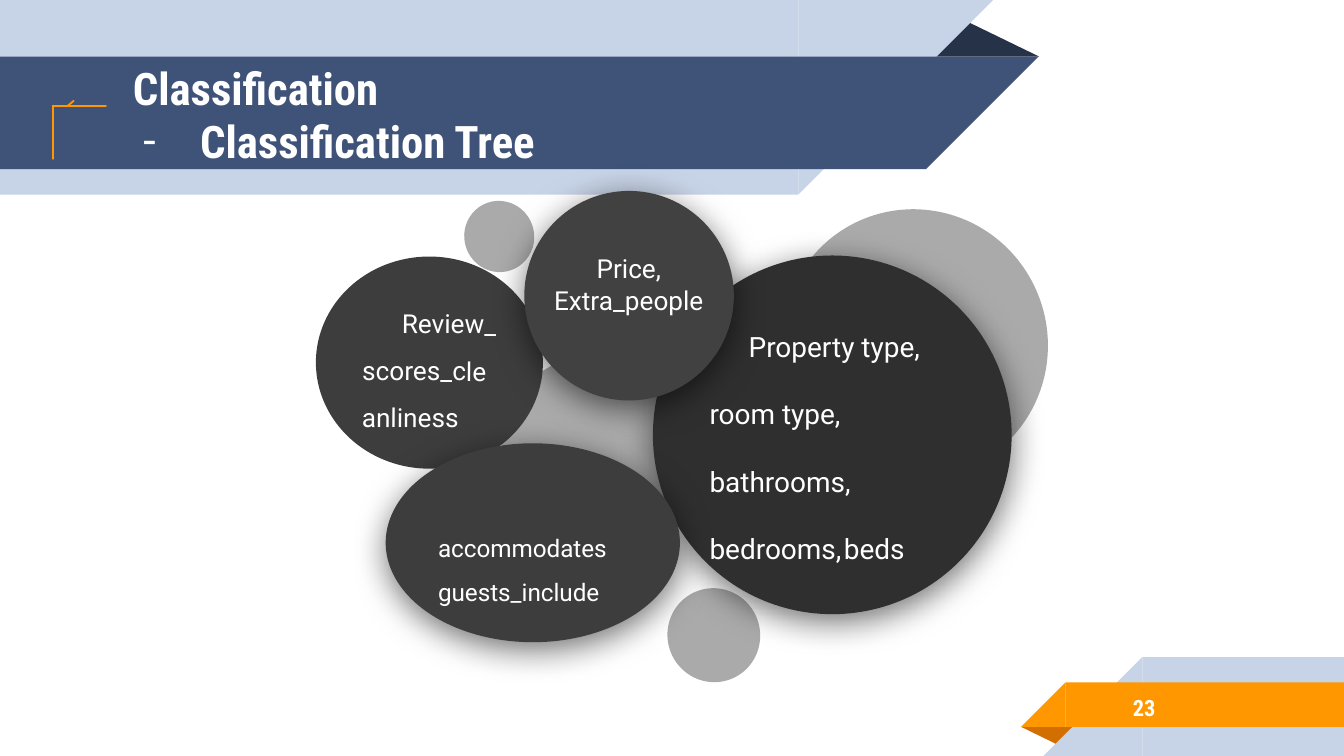
from lxml import etree
from pptx import Presentation
from pptx.dml.color import RGBColor
from pptx.enum.shapes import MSO_CONNECTOR, MSO_SHAPE
from pptx.enum.text import MSO_ANCHOR, MSO_AUTO_SIZE, PP_ALIGN
from pptx.oxml.ns import qn
from pptx.util import Cm, Pt

RECTANGLE, ELLIPSE = MSO_SHAPE.RECTANGLE, MSO_SHAPE.OVAL
TRIANGLE, CORNER = MSO_SHAPE.ISOSCELES_TRIANGLE, MSO_SHAPE.RIGHT_TRIANGLE
LEFT, CENTER = PP_ALIGN.LEFT, PP_ALIGN.CENTER
TOP, MIDDLE = MSO_ANCHOR.TOP, MSO_ANCHOR.MIDDLE

WHITE, ORANGE, RUST = "FFFFFF", "FF9800", "D26F00"
PALE, BLUE, NAVY = "C7D3E6", "3F5378", "263248"
GRAY, CHARCOAL = "AAAAAA", "3D3D3D"
BODY_FONT, HEAD_FONT = "Roboto", "Roboto Condensed"
FIRST_INDENT = 0.74


def rgb(value):
    return RGBColor.from_string(value)


def add_xml(parent, tag, **attributes):
    return etree.SubElement(parent, qn(tag), {k: str(v) for k, v in attributes.items()})


def write(shape, text, size=14, font=BODY_FONT, bold=False, align=LEFT, anchor=MIDDLE,
          spacing=1.0, indent=0, tab=None):
    """Fill a shape with one paragraph per line of text."""
    frame = shape.text_frame
    frame.word_wrap = True
    frame.auto_size = MSO_AUTO_SIZE.NONE
    frame.vertical_anchor = anchor
    frame.margin_left = frame.margin_right = Cm(0.25)
    frame.margin_top = frame.margin_bottom = Cm(0.25)
    for number, line in enumerate(text.split("\n")):
        para = frame.paragraphs[0] if number == 0 else frame.add_paragraph()
        para.alignment = align
        para.line_spacing = spacing
        para.space_before = Pt(0)
        properties = para._p.get_or_add_pPr()
        properties.set("marL", "0")
        properties.set("indent", str(Cm(indent)))
        if tab:
            add_xml(add_xml(properties, "a:tabLst"), "a:tab", pos=Cm(tab), algn="l")
        span = para.add_run()
        span.text = line
        span.font.name = font
        span.font.size = Pt(size)
        span.font.bold = bold
        span.font.color.rgb = rgb(WHITE)


def add_dash(para):
    properties = para._p.get_or_add_pPr()
    properties.set("marL", str(Cm(1.27)))
    properties.set("indent", str(Cm(-1.07)))
    add_xml(add_xml(properties, "a:buClr"), "a:srgbClr", val=WHITE)
    add_xml(properties, "a:buFont", typeface=BODY_FONT)
    add_xml(properties, "a:buChar", char="-")


def add_glow(shape):
    """Give a shape a soft shadow just below it."""
    effects = shape._element.spPr.find(qn("a:effectLst"))
    shadow = add_xml(effects, "a:outerShdw", blurRad=Pt(18), dist=Pt(4),
                     dir=90 * 60000, algn="bl", rotWithShape=0)
    color = add_xml(shadow, "a:srgbClr", val="000000")
    add_xml(color, "a:alpha", val=55000)


class Painter:
    """Holds the current slide and the look of its elements."""

    def __init__(self, slide):
        self.slide = slide
        self.shapes = slide.shapes

    def shape(self, kind, color, left, top, width, height, rotation=0, flip=None):
        shape = self.shapes.add_shape(kind, Cm(left), Cm(top), Cm(width), Cm(height))
        shape.shadow.inherit = False
        shape.fill.solid()
        shape.fill.fore_color.rgb = rgb(color)
        shape.line.fill.background()
        shape.rotation = rotation
        if flip:
            shape._element.spPr.xfrm.set(flip, "1")
        return shape

    def fold(self, color, left, top, width, height, rotation=0):
        self.shape(TRIANGLE, color, left, top, width, height, rotation).adjustments[0] = 0.324

    def band(self, color, left, top, width, height, slant_left=False):
        """Draw a bar that ends in a 45 degree slant."""
        self.shape(RECTANGLE, color, left, top, width, height)
        start, flip = (left - height, "flipH") if slant_left else (left + width, "flipV")
        self.shape(CORNER, color, start, top, height, height, flip=flip)

    def text(self, text, left, top, width, height, **style):
        box = self.shapes.add_textbox(Cm(left), Cm(top), Cm(width), Cm(height))
        write(box, text, **style)

    def title(self, text, left, top, width, height, **style):
        title = self.shapes.title
        title.left, title.top, title.width, title.height = map(Cm, (left, top, width, height))
        write(title, text, **style)
        title.element.getparent().append(title.element)
        return title

    def stroke(self, shape):
        shape.line.color.rgb = rgb(ORANGE)
        shape.line.width = Pt(0.96)

    def outline(self, points, close):
        builder = self.shapes.build_freeform(*points[0], scale=Cm(1))
        builder.add_line_segments(points[1:], close=close)
        shape = builder.convert_to_shape()
        shape.shadow.inherit = False
        shape.fill.background()
        self.stroke(shape)

    def line(self, x1, y1, x2, y2):
        line = self.shapes.add_connector(MSO_CONNECTOR.STRAIGHT, Cm(x1), Cm(y1), Cm(x2), Cm(y2))
        add_xml(line._element.spPr, "a:effectLst")
        self.stroke(line)

    def bubble(self, color, left, top, width, height):
        add_glow(self.shape(ELLIPSE, color, left, top, width, height))


def draw_pin(painter):
    needle = [(1.14, 2.24), (0.81, 2.62), (0.79, 2.67), (0.84, 2.64), (1.22, 2.31)]
    head = [(1.42, 1.8), (1.65, 2.03), (1.7, 2.06), (1.75, 2.06), (1.8, 2.01),
            (1.8, 1.98), (1.47, 1.65), (1.42, 1.65), (1.4, 1.7), (1.4, 1.75)]
    body = [(1.42, 1.8), (1.22, 1.98), (1.14, 1.96), (1.04, 1.96), (0.97, 2.01),
            (0.94, 2.03), (0.97, 2.06), (1.4, 2.49), (1.42, 2.51), (1.45, 2.49),
            (1.5, 2.41), (1.5, 2.31), (1.47, 2.24), (1.65, 2.03)]
    painter.outline(needle, close=True)
    painter.outline(head, close=True)
    painter.outline(body, close=False)
    painter.line(1.27, 2.01, 1.4, 1.9)


def main():
    deck = Presentation()
    deck.slide_width, deck.slide_height = Cm(25.4), Cm(14.29)
    page = Painter(deck.slides.add_slide(deck.slide_layouts[5]))

    page.fold(NAVY, 17.48, 0.36, 2.16, 0.71)
    page.band(PALE, 0, 0, 15.09, 3.68)
    page.band(BLUE, 0, 1.07, 17.5, 2.13)
    page.fold(RUST, 19.3, 13.74, 1.09, 0.36, rotation=180)
    page.band(PALE, 21.59, 12.42, 3.81, 1.87, slant_left=True)
    page.band(ORANGE, 20.14, 12.9, 5.26, 0.84, slant_left=True)
    draw_pin(page)

    title = page.title("Classification\nClassification Tree", 2.26, 1.09, 16.56, 2.13,
                       size=24, font=HEAD_FONT, bold=True)
    add_dash(title.text_frame.paragraphs[1])

    for place in ((12.6, 11.13, 1.78, 1.75), (8.76, 3.81, 1.35, 1.32),
                  (9.45, 6.73, 3.63, 3.58), (14.73, 3.99, 5.11, 5.03)):
        page.shape(ELLIPSE, GRAY, *place, rotation=250)

    review = page.shape(ELLIPSE, CHARCOAL, 5.97, 4.85, 4.29, 4.01, rotation=0.5)
    write(review, "Review_scores_cleanliness", spacing=1.5, indent=FIRST_INDENT)

    page.bubble("2F2F2F", 12.34, 4.83, 6.78, 6.78)
    page.text("Property type, room type, bathrooms, bedrooms,\tbeds", 13.16, 6.3, 5.18, 3.68,
              size=15, spacing=2.0, indent=FIRST_INDENT, tab=3.01)
    page.bubble("414141", 9.91, 3.61, 3.96, 3.96)
    page.text("Price,\nExtra_people", 10.08, 4.06, 3.61, 2.62, align=CENTER)
    page.bubble(CHARCOAL, 7.29, 8.38, 5.56, 3.76)
    page.text("accommodates\nguests_include", 7.29, 8.92, 4.78, 3.43,
              size=13, spacing=1.5, indent=FIRST_INDENT)

    page.text("23", 21.16, 12.88, 4.14, 0.89, size=12, font=HEAD_FONT, bold=True, anchor=TOP)
    deck.save("out.pptx")


if __name__ == "__main__":
    main()
